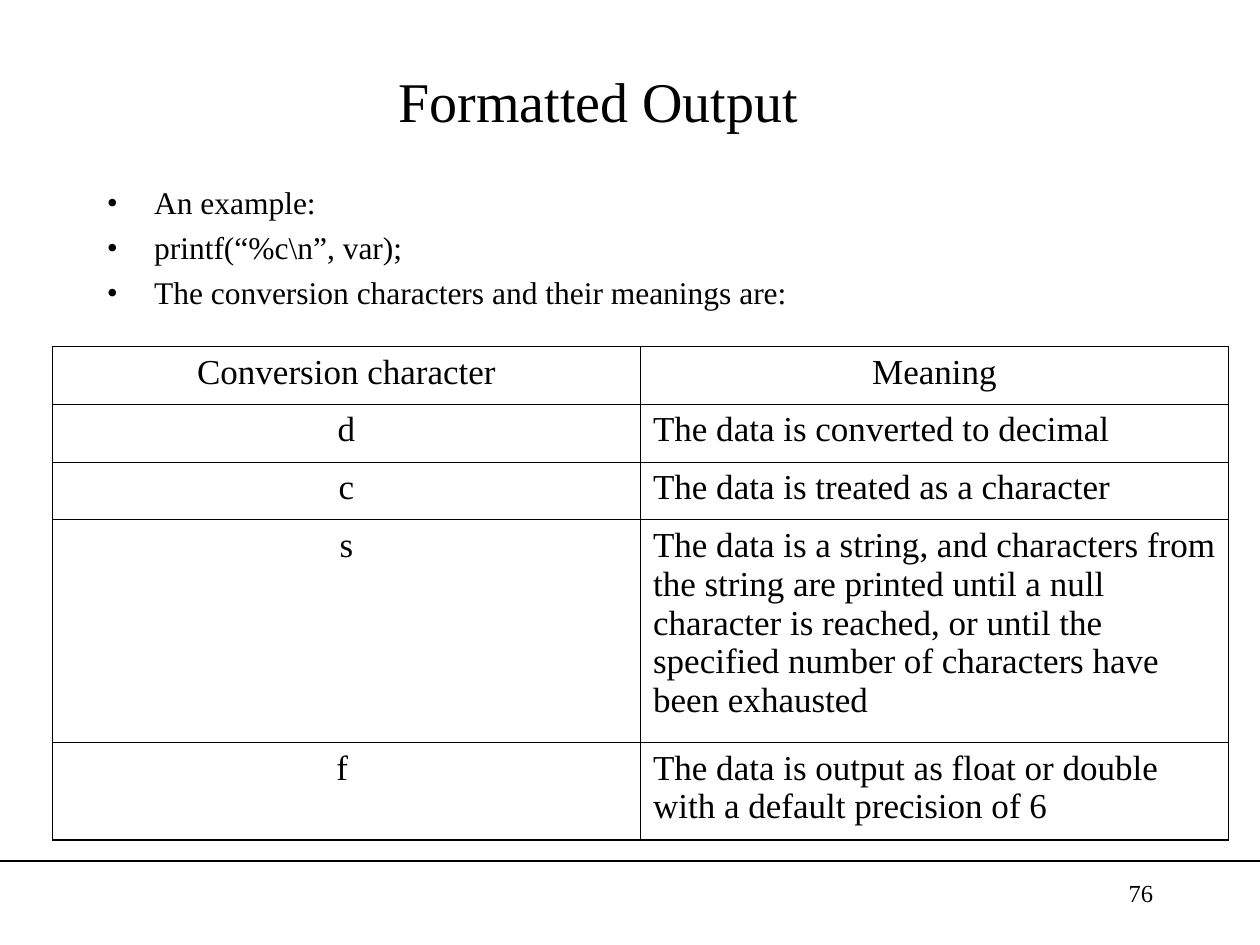
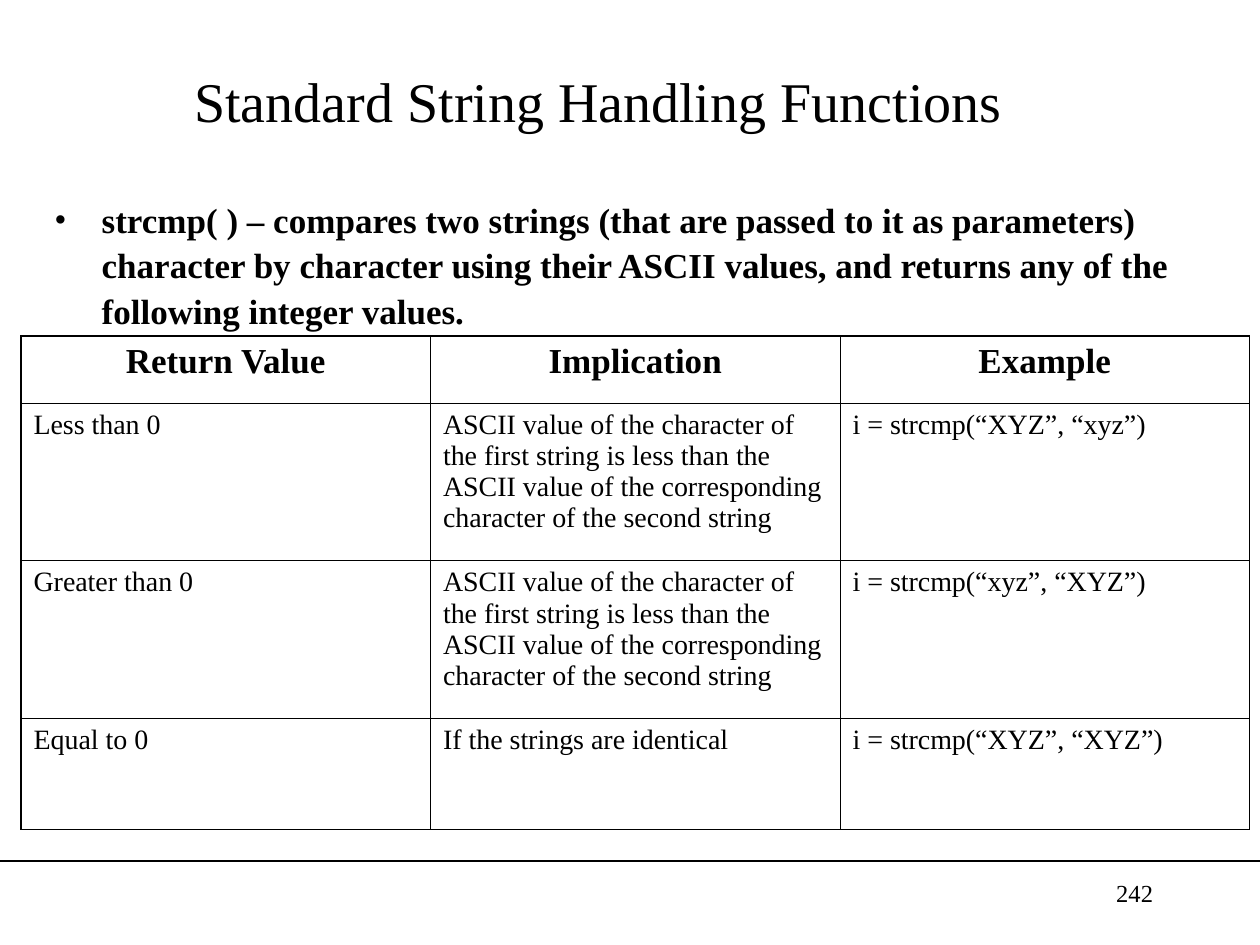
from lxml import etree
from pptx import Presentation
from pptx import util as u
from pptx.dml.color import RGBColor
from pptx.enum import shapes, text
from pptx.oxml import ns

PX = 7620
BLACK = RGBColor(0, 0, 0)
WHITE = RGBColor(255, 255, 255)
FONT = "Times New Roman"
LEFT, MID, RIGHT = text.PP_ALIGN.LEFT, text.PP_ALIGN.CENTER, text.PP_ALIGN.RIGHT
THICK, THIN = 1.08, 0.45


def write(frame, lines, size, align=LEFT, bold=False, bullet=False, before=0, space=None,
          anchor=text.MSO_ANCHOR.TOP):
    frame.word_wrap = True
    frame.vertical_anchor = anchor
    for i, line in enumerate(lines):
        para = frame.add_paragraph() if i else frame.paragraphs[0]
        if bullet:
            props = para._p.get_or_add_pPr()
            props.set("marL", str(45 * PX))
            props.set("indent", str(-45 * PX))
            etree.SubElement(props, ns.qn("a:buFont"), typeface=FONT)
            etree.SubElement(props, ns.qn("a:buChar"), char="•")
        para.alignment = align
        if space:
            para.line_spacing = space
        if i:
            para.space_before = u.Pt(before)
        run = para.add_run()
        run.text = line
        run.font.name = FONT
        run.font.size = u.Pt(size)
        run.font.bold = bold
        run.font.color.rgb = BLACK


def edge(cell, side, width):
    props = cell._tc.get_or_add_tcPr()
    line = etree.SubElement(props, ns.qn("a:ln" + side), w=str(u.Pt(width)))
    fill = etree.SubElement(line, ns.qn("a:solidFill"))
    etree.SubElement(fill, ns.qn("a:srgbClr"), val=str(BLACK))


LESS = ("ASCII value of the character of the first string is less than the ASCII value "
        "of the corresponding character of the second string")

PAGES = [
    dict(
        title="Formatted Output", number="76",
        body=["An example:", "printf(“%c\\n”, var);",
              "The conversion characters and their meanings are:"],
        place=(90, 170, 960, 130),
        style=dict(size=18, before=4.5, space=0.98),
        corner=(50, 330), width=560, heights=[55, 55, 55, 212, 93],
        head=dict(size=20, align=MID), size=20, aligns=[MID, LEFT],
        rows=[
            ["Conversion character", "Meaning"],
            ["d", "The data is converted to decimal"],
            ["c", "The data is treated as a character"],
            ["s", "The data is a string, and characters from the string are printed until "
                  "a null character is reached, or until the specified number of characters "
                  "have been exhausted"],
            ["f ", "The data is output as float or double with a default precision of 6"],
        ],
    ),
    dict(
        title="Standard String Handling Functions", number="242",
        body=["strcmp( ) – compares two strings (that are passed to it as parameters) "
              "character by character using their ASCII values, and returns any of the "
              "following integer values."],
        place=(40, 180, 1100, 180),
        style=dict(size=20, bold=True, space=1.08),
        corner=(20, 320), width=390, heights=[64, 150, 150, 106],
        head=dict(size=20, align=MID, bold=True), size=16, aligns=[LEFT, LEFT, LEFT],
        rows=[
            ["Return Value", "Implication", "Example"],
            ["Less than 0", LESS, "i = strcmp(“XYZ”, “xyz”)"],
            ["Greater than 0", LESS, "i = strcmp(“xyz”, “XYZ”)"],
            ["Equal to 0", "If the strings are identical", "i = strcmp(“XYZ”, “XYZ”)"],
        ],
    ),
]

deck = Presentation()
deck.slide_width = 1200 * PX
deck.slide_height = 900 * PX

for page in PAGES:
    slide = deck.slides.add_slide(deck.slide_layouts[6])
    slide.background.fill.solid()
    slide.background.fill.fore_color.rgb = WHITE

    rule = slide.shapes.add_connector(
        shapes.MSO_CONNECTOR.STRAIGHT, 0, 820 * PX, 1200 * PX, 820 * PX)
    rule.line.color.rgb = BLACK
    rule.line.width = u.Pt(0.75)
    etree.SubElement(rule._element.spPr, ns.qn("a:effectLst"))

    for place, lines, style in [
        ((60, 30, 1020, 130), [page["title"]],
         dict(size=32, align=MID, anchor=text.MSO_ANCHOR.MIDDLE)),
        (page["place"], page["body"], dict(page["style"], bullet=True)),
        ((860, 830, 250, 60), [page["number"]], dict(size=14, align=RIGHT)),
    ]:
        box = slide.shapes.add_textbox(*[n * PX for n in place])
        write(box.text_frame, lines, **style)

    rows, heights = page["rows"], page["heights"]
    count = len(rows[0])
    x, y = page["corner"]
    table = slide.shapes.add_table(
        len(rows), count, x * PX, y * PX,
        count * page["width"] * PX, sum(heights) * PX).table
    table.first_row = table.horz_banding = False
    for col in table.columns:
        col.width = page["width"] * PX
    for r, row in enumerate(rows):
        table.rows[r].height = heights[r] * PX
        for c, words in enumerate(row):
            cell = table.cell(r, c)
            sides = dict(L=c == 0, R=c == count - 1, T=r == 0, B=r == len(rows) - 1)
            for side, outer in sides.items():
                edge(cell, side, THICK if outer else THIN)
            cell.fill.background()
            style = dict(size=page["size"], align=page["aligns"][c]) if r else page["head"]
            write(cell.text_frame, [words], **style)

deck.save("out.pptx")
